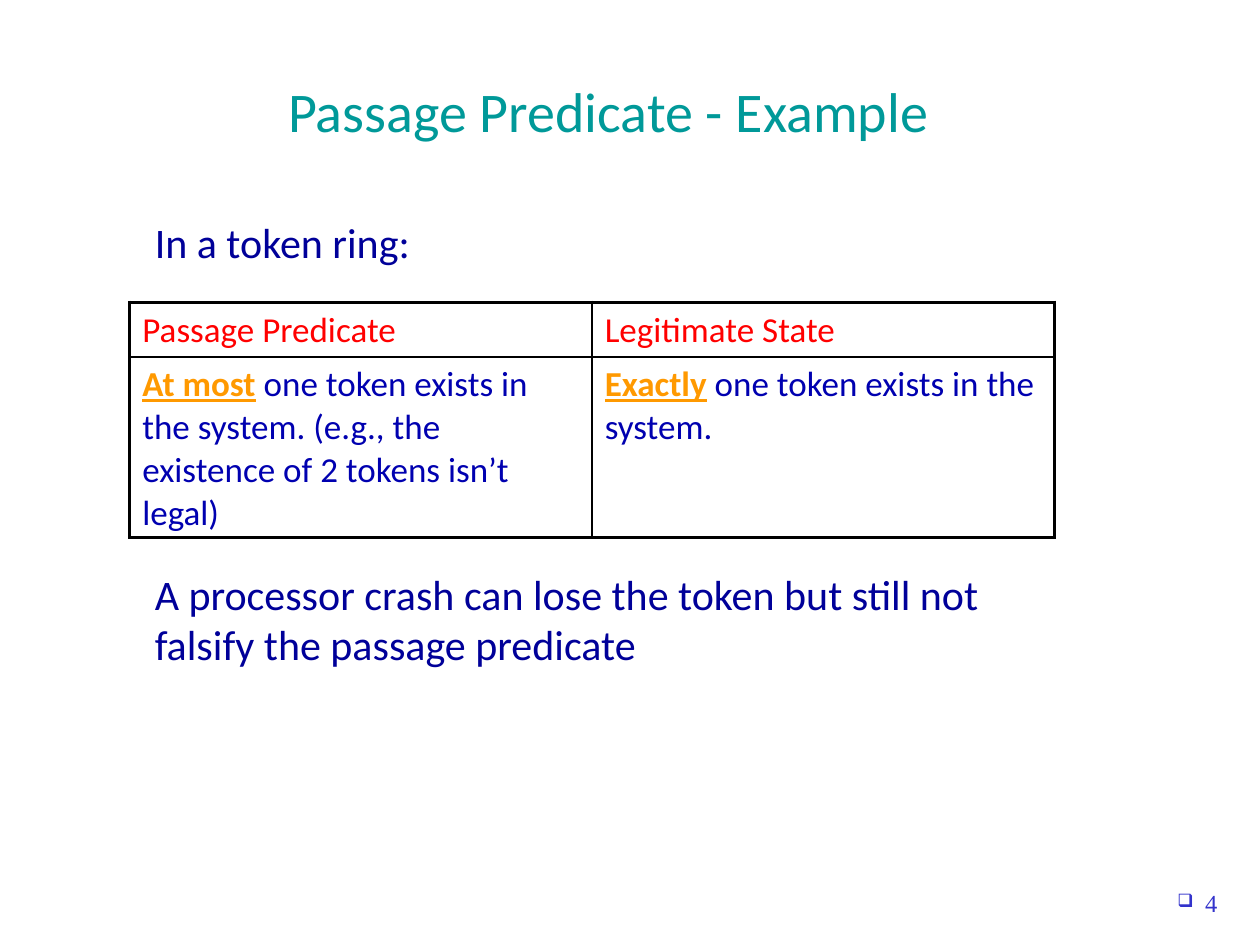
from lxml.etree import SubElement
from pptx import Presentation
from pptx.dml.color import RGBColor
from pptx.enum.text import MSO_ANCHOR, PP_ALIGN
from pptx.oxml.ns import qn
from pptx.util import Inches, Pt

COLORS = {"title": "009999", "body": "000099", "page": "3333CC", "head": "FF0000",
          "key": "FF9900", "cell": "0000B0", "line": "000000"}
ROWS = [
    [[("Passage Predicate", "head")], [("Legitimate State", "head")]],
    [[("At most", "key"),
      (" one token exists in the system. (e.g., the existence of 2 tokens isn’t legal)", "cell")],
     [("Exactly", "key"), (" one token exists in the system.", "cell")]],
]


def add_run(para, text, color, size, font="Calibri"):
    """Append one styled run; key words are bold and underlined."""
    run = para.add_run()
    run.text = text
    run.font.name = font
    run.font.size = Pt(size)
    run.font.color.rgb = RGBColor.from_string(COLORS[color])
    run.font.bold = run.font.underline = color == "key"


def add_box(slide, left, top, width, height):
    """Add a wrapping text box and return its frame."""
    box = slide.shapes.add_textbox(Inches(left), Inches(top), Inches(width), Inches(height))
    box.text_frame.word_wrap = True
    return box.text_frame


def indent(para, left, hang):
    """Set the left margin and first line offset, and return the properties."""
    props = para._p.get_or_add_pPr()
    props.set("marL", str(Inches(left)))
    props.set("indent", str(Inches(hang)))
    return props


def add_title(slide):
    """Add the centred slide title."""
    frame = add_box(slide, 0.58, 0.25, 8.5, 1.25)
    frame.vertical_anchor = MSO_ANCHOR.MIDDLE
    para = frame.paragraphs[0]
    para.alignment = PP_ALIGN.CENTER
    add_run(para, "Passage Predicate - Example", "title", 32)


def add_body(slide):
    """Add the lines of text above and below the table."""
    frame = add_box(slide, 0.09, 1.67, 8.2, 5.08)
    intro, note = frame.paragraphs[0], frame.add_paragraph()
    note.space_before = Pt(172)
    for para, text in ((intro, "In a token ring:"),
                       (note, "A processor crash can lose the token but still not "
                              "falsify the passage predicate")):
        indent(para, 1.04, 0)
        add_run(para, text, "body", 24)


def add_edge(cell, side, width):
    """Draw one border of a cell."""
    line = SubElement(cell._tc.get_or_add_tcPr(), qn(f"a:{side}"), w=str(Pt(width)))
    fill = SubElement(line, qn("a:solidFill"))
    SubElement(fill, qn("a:srgbClr"), val=COLORS["line"])


def add_grid(slide):
    """Add the table with a thick frame and thin inner lines."""
    rows, cols = len(ROWS), len(ROWS[0])
    table = slide.shapes.add_table(rows, cols, Inches(1.03), Inches(2.4),
                                   Inches(7.34), Inches(1.86)).table
    table.first_row = table.horz_banding = False
    for row, height in zip(table.rows, (0.43, 1.43)):
        row.height = Inches(height)
    for r, row in enumerate(ROWS):
        for c, parts in enumerate(row):
            cell = table.cell(r, c)
            outer = {"lnL": c == 0, "lnR": c == cols - 1, "lnT": r == 0, "lnB": r == rows - 1}
            for side, thick in outer.items():
                add_edge(cell, side, 2.25 if thick else 1)
            cell.fill.background()
            for text, color in parts:
                add_run(cell.text_frame.paragraphs[0], text, color, 20)


def add_page(slide):
    """Add the page number with its square bullet."""
    para = add_box(slide, 9.08, 7, 0.68, 0.5).paragraphs[0]
    para.alignment = PP_ALIGN.RIGHT
    props = indent(para, 0.22, -0.22)
    SubElement(props, qn("a:buSzPct"), val="75000")
    SubElement(props, qn("a:buFont"), typeface="Wingdings")
    SubElement(props, qn("a:buChar"), char="q")
    add_run(para, "4", "page", 14, "Times New Roman")


def main():
    """Build and save the slide."""
    deck = Presentation()
    deck.slide_width, deck.slide_height = Inches(10), Inches(7.5)
    slide = deck.slides.add_slide(deck.slide_layouts[6])
    for add in (add_page, add_title, add_body, add_grid):
        add(slide)
    deck.save("out.pptx")


if __name__ == "__main__":
    main()
